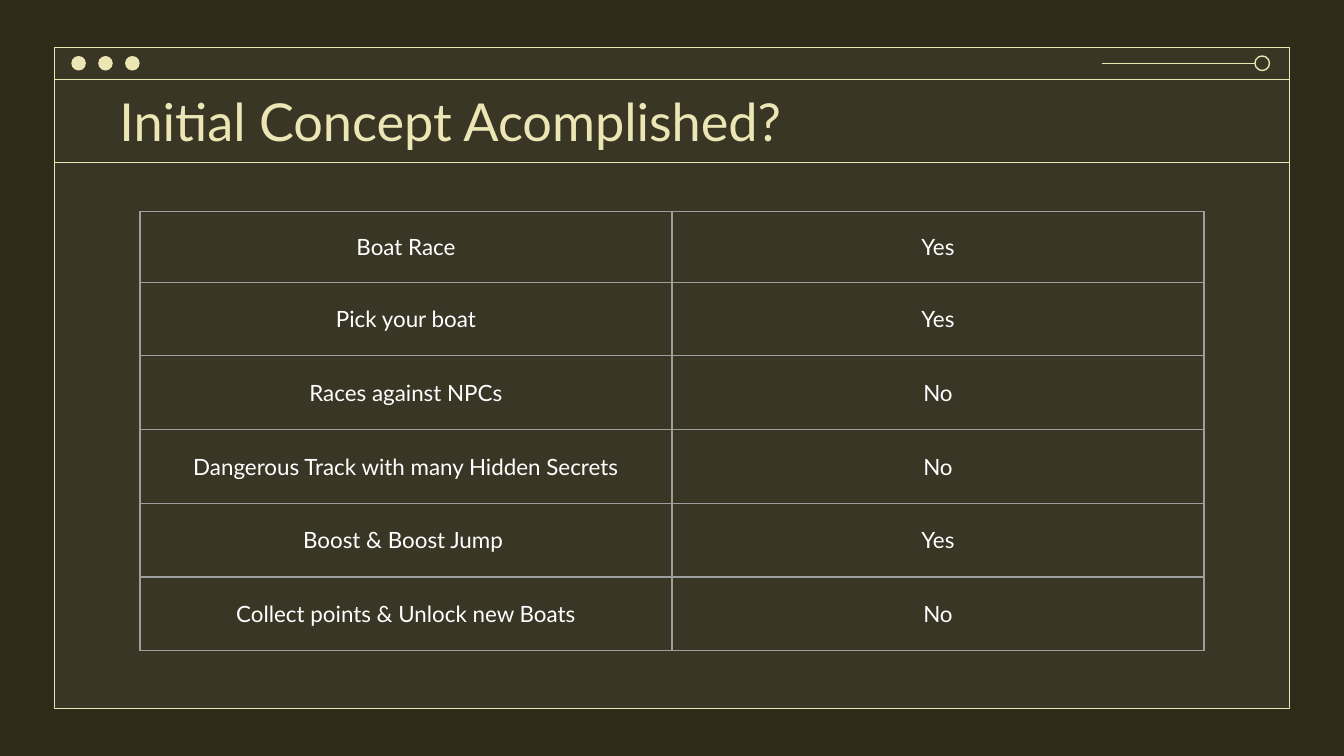
"""Build a slide with a window frame and a table of accomplished concepts."""
import pptx
import pptx.dml.color
import pptx.enum.shapes
import pptx.enum.text
import pptx.oxml
import pptx.oxml.ns
import pptx.util

Pt = pptx.util.Pt
SHAPE = pptx.enum.shapes.MSO_SHAPE
ALIGN = pptx.enum.text.PP_ALIGN
MIDDLE = pptx.enum.text.MSO_ANCHOR.MIDDLE
FONT = "Lato"
INSET = 7.2
COLORS = {
    "background": "2F2B19",
    "panel": "7C7C7C",
    "cream": "ECE5B4",
    "border": "9E9E9E",
    "white": "FFFFFF",
}
CONCEPTS = [
    ("Boat Race", "Yes"),
    ("Pick your boat", "Yes"),
    ("Races against NPCs", "No"),
    ("Dangerous Track with many Hidden Secrets", "No"),
    ("Boost & Boost Jump ", "Yes"),
    ("Collect points & Unlock new Boats", "No"),
]


def rgb(name):
    return pptx.dml.color.RGBColor.from_string(COLORS[name])


def add_box(slide, kind, left, top, width, height, fill=None, line=None, alpha=None):
    box = slide.shapes.add_shape(kind, Pt(left), Pt(top), Pt(width), Pt(height))
    box.shadow.inherit = False
    if fill:
        box.fill.solid()
        box.fill.fore_color.rgb = rgb(fill)
    else:
        box.fill.background()
    if alpha:
        color = box.fill._xPr.find(".//" + pptx.oxml.ns.qn("a:srgbClr"))
        color.append(pptx.oxml.parse_xml(
            f'<a:alpha {pptx.oxml.ns.nsdecls("a")} val="{alpha * 1000}"/>'))
    if line:
        box.line.color.rgb = rgb(line)
        box.line.width = Pt(0.75)
    else:
        box.line.fill.background()


def add_rule(slide, start, end, y):
    rule = slide.shapes.add_connector(
        pptx.enum.shapes.MSO_CONNECTOR.STRAIGHT, Pt(start), Pt(y), Pt(end), Pt(y))
    rule.line.color.rgb = rgb("cream")
    rule.line.width = Pt(0.75)
    rule._element.spPr.append(
        pptx.oxml.parse_xml(f'<a:effectLst {pptx.oxml.ns.nsdecls("a")}/>'))


def set_insets(holder):
    holder.margin_left = holder.margin_right = Pt(INSET)
    holder.margin_top = holder.margin_bottom = Pt(INSET)
    holder.vertical_anchor = MIDDLE


def style_text(paragraph, size, color, align):
    paragraph.alignment = align
    paragraph.font.name = FONT
    paragraph.font.size = Pt(size)
    paragraph.font.color.rgb = rgb(color)


def add_title(slide, text):
    frame = slide.shapes.add_textbox(Pt(56.9), Pt(42.5), Pt(607), Pt(44.6)).text_frame
    frame.word_wrap = True
    set_insets(frame)
    frame.text = text
    style_text(frame.paragraphs[0], 28, "cream", ALIGN.LEFT)


def add_borders(cell):
    properties = cell._tc.get_or_add_tcPr()
    for side in "LRTB":
        properties.append(pptx.oxml.parse_xml(
            f'<a:ln{side} {pptx.oxml.ns.nsdecls("a")} w="{Pt(0.75)}"><a:solidFill>'
            f'<a:srgbClr val="{COLORS["border"]}"/></a:solidFill></a:ln{side}>'))


def add_concept_table(slide):
    table = slide.shapes.add_table(
        len(CONCEPTS), 2, Pt(75), Pt(113.2), Pt(570), Pt(235.5)).table
    table.first_row = table.horz_banding = False
    for index, concept in enumerate(CONCEPTS):
        table.rows[index].height = Pt(39.5 if index else 38)
        for column, text in enumerate(concept):
            cell = table.cell(index, column)
            cell.text = text
            add_borders(cell)
            cell.fill.background()
            set_insets(cell)
            style_text(cell.text_frame.paragraphs[0], 12, "white", ALIGN.CENTER)


def add_window(slide):
    left, top, width, height = 29.3, 25.4, 661.5, 354.2
    add_box(slide, SHAPE.RECTANGLE, left, top, width, height, fill="panel", alpha=14)
    for frame_height in (height, 17.1):
        add_box(slide, SHAPE.RECTANGLE, left, top, width, frame_height, line="cream")
    for button in range(3):
        add_box(slide, SHAPE.OVAL, 38.2 + 14.4 * button, 30, 7.8, 7.8, fill="cream")
    add_box(slide, SHAPE.OVAL, 672.3, 30, 7.8, 7.8, line="cream")
    add_rule(slide, 590.4, 672.3, 33.9)
    add_rule(slide, left, left + width, 87)


def main():
    deck = pptx.Presentation()
    deck.slide_width, deck.slide_height = Pt(720), Pt(405)
    slide = deck.slides.add_slide(deck.slide_layouts[6])
    slide.background.fill.solid()
    slide.background.fill.fore_color.rgb = rgb("background")
    add_window(slide)
    add_title(slide, "Initial Concept Acomplished?")
    add_concept_table(slide)
    deck.save("out.pptx")


if __name__ == "__main__":
    main()
